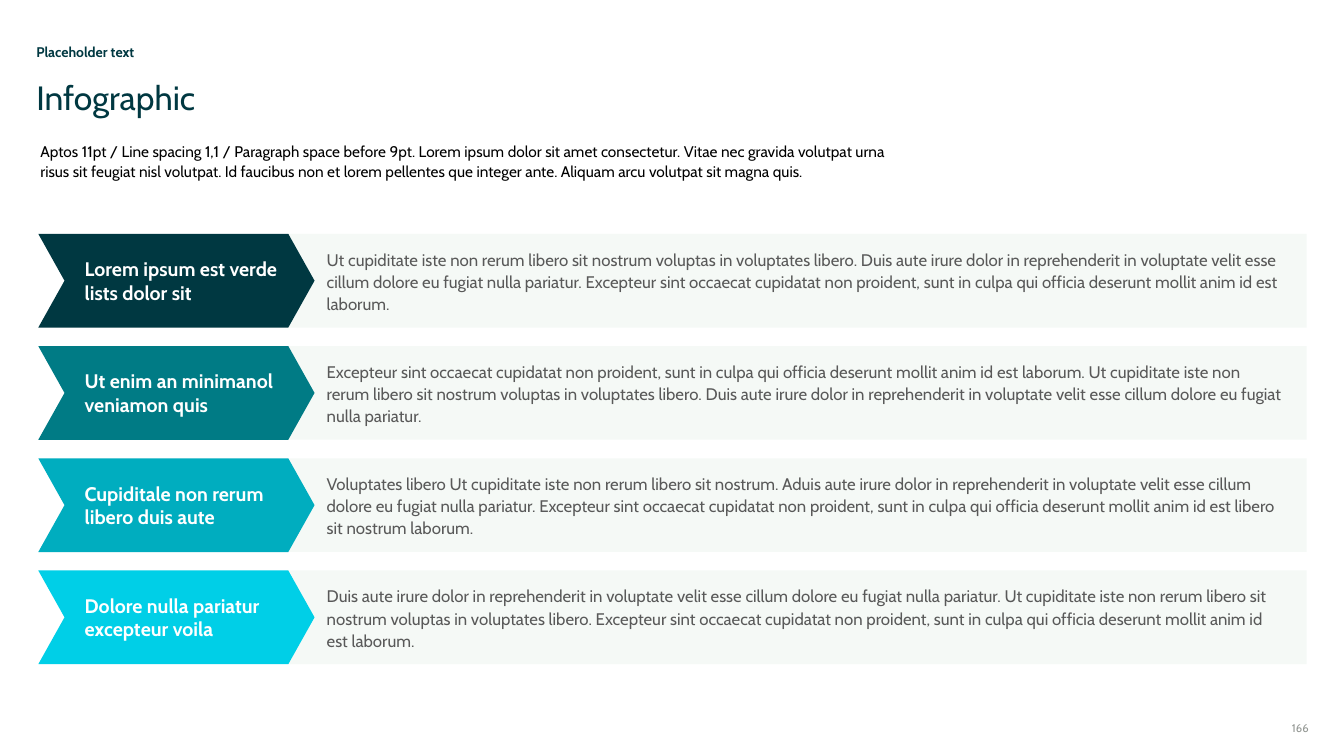
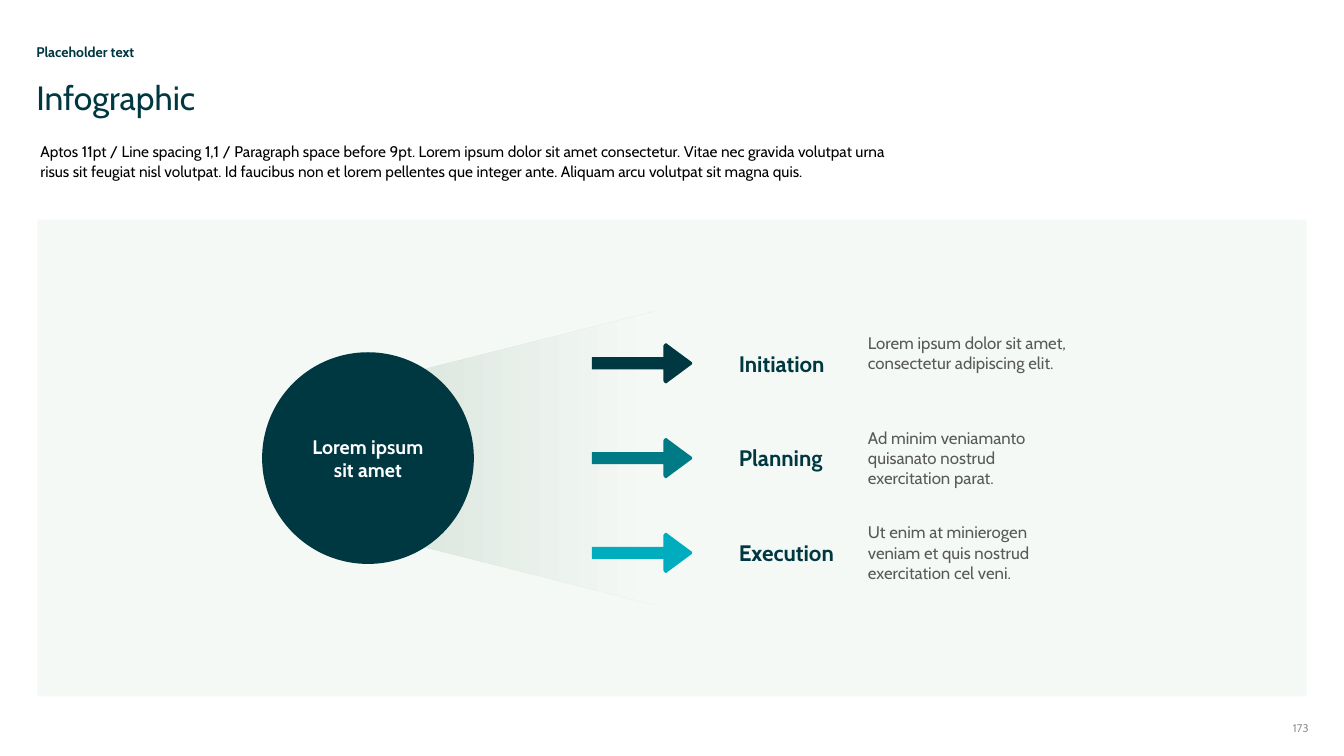
from collections import namedtuple

from pptx import Presentation
from pptx.dml.color import RGBColor
from pptx.enum import shapes, text
from pptx.util import Inches, Pt

FONT = "Cabin"
NAVY = RGBColor(0x00, 0x38, 0x41)
TEAL = RGBColor(0x00, 0x7B, 0x85)
CYAN = RGBColor(0x00, 0xAD, 0xBF)
BRIGHT = RGBColor(0x00, 0xCF, 0xE7)
PALE = RGBColor(0xF5, 0xF9, 0xF6)
SAGE = RGBColor(0xD8, 0xE4, 0xDC)
GREY = RGBColor(0x59, 0x59, 0x59)
FOOTER_GREY = RGBColor(0x93, 0x97, 0x93)
BLACK = RGBColor(0x00, 0x00, 0x00)
WHITE = RGBColor(0xFF, 0xFF, 0xFF)

Box = namedtuple("Box", "left top width height")

EYEBROW = dict(size=10, color=NAVY, bold=True, spacing=0.9)
TITLE = dict(size=24, color=NAVY, spacing=0.9)
INTRO = dict(size=11, color=BLACK, spacing=1.1)
PAGE_NUMBER = dict(size=8, color=FOOTER_GREY, align=text.PP_ALIGN.RIGHT)
ROW_BODY = dict(size=12, color=GREY, spacing=1.1)
ROW_HEADING = dict(size=14, color=WHITE, bold=True)
HUB = dict(size=14, color=WHITE, bold=True, align=text.PP_ALIGN.CENTER)
STEP_NAME = dict(size=16, color=NAVY, bold=True)
STEP_BODY = dict(size=12, color=GREY)

NO_INSETS = (0, 0, 0, 0)
TEXT_INSETS = (0.1, 0.05, 0.1, 0.05)

INTRO_TEXT = (
    "Aptos 11pt / Line spacing 1,1 / Paragraph space before 9pt. Lorem ipsum dolor sit amet "
    "consectetur. Vitae nec gravida volutpat urna risus sit feugiat nisl volutpat. Id faucibus "
    "non et lorem pellentes que integer ante. Aliquam arcu volutpat sit magna quis."
)
CHEVRON_ROWS = [
    (NAVY, "Lorem ipsum est verde lists dolor sit",
     "Ut cupiditate iste non rerum libero sit nostrum voluptas in voluptates libero. Duis aute "
     "irure dolor in reprehenderit in voluptate velit esse cillum dolore eu fugiat nulla "
     "pariatur. Excepteur sint occaecat cupidatat non proident, sunt in culpa qui officia "
     "deserunt mollit anim id est laborum."),
    (TEAL, "Ut enim an minimanol veniamon quis",
     "Excepteur sint occaecat cupidatat non proident, sunt in culpa qui officia deserunt mollit "
     "anim id est laborum. Ut cupiditate iste non rerum libero sit nostrum voluptas in "
     "voluptates libero. Duis aute irure dolor in reprehenderit in voluptate velit esse cillum "
     "dolore eu fugiat nulla pariatur."),
    (CYAN, "Cupiditale non rerum libero duis aute",
     "Voluptates libero Ut cupiditate iste non rerum libero sit nostrum. Aduis aute irure dolor "
     "in reprehenderit in voluptate velit esse cillum dolore eu fugiat nulla pariatur. Excepteur "
     "sint occaecat cupidatat non proident, sunt in culpa qui officia deserunt mollit anim id "
     "est libero sit nostrum laborum."),
    (BRIGHT, "Dolore nulla pariatur excepteur voila",
     "Duis aute irure dolor in reprehenderit in voluptate velit esse cillum dolore eu fugiat "
     "nulla pariatur. Ut cupiditate iste non rerum libero sit nostrum voluptas in voluptates "
     "libero. Excepteur sint occaecat cupidatat non proident, sunt in culpa qui officia deserunt "
     "mollit anim id est laborum."),
]
STEPS = [
    (NAVY, "Initiation", "Lorem ipsum dolor sit amet, consectetur adipiscing elit."),
    (TEAL, "Planning", "Ad minim veniamanto quisanato nostrud exercitation parat."),
    (CYAN, "Execution", "Ut enim at minierogen veniam et quis nostrud exercitation cel veni."),
]


def inches(box):
    return [Inches(length) for length in box]


def write(shape, content, style, insets=TEXT_INSETS, anchor=text.MSO_ANCHOR.TOP):
    frame = shape.text_frame
    left, top, right, bottom = inches(insets)
    frame_format = dict(word_wrap=True, vertical_anchor=anchor, margin_left=left,
                        margin_top=top, margin_right=right, margin_bottom=bottom)
    for name, value in frame_format.items():
        setattr(frame, name, value)
    paragraph = frame.paragraphs[0]
    paragraph.alignment = style.get("align", text.PP_ALIGN.LEFT)
    paragraph.line_spacing = style.get("spacing", 1.0)
    run = paragraph.add_run()
    run.text = content
    font_format = dict(name=FONT, size=Pt(style["size"]), bold=style.get("bold", False))
    for name, value in font_format.items():
        setattr(run.font, name, value)
    run.font.color.rgb = style["color"]


def add_text(slide, box, content, style, insets=TEXT_INSETS):
    write(slide.shapes.add_textbox(*inches(box)), content, style, insets)


def paint(shape, color):
    shape.shadow.inherit = False
    shape.line.fill.background()
    shape.fill.solid()
    shape.fill.fore_color.rgb = color


def add_filled(slide, kind, box, color):
    shape = slide.shapes.add_shape(kind, *inches(box))
    paint(shape, color)
    return shape


def add_page(presentation, number):
    """Add a slide with the shared heading, introduction and page number."""
    slide = presentation.slides.add_slide(presentation.slide_layouts[6])
    add_text(slide, Box(0.36, 0.45, 12.61, 0.15), "Placeholder text", EYEBROW, NO_INSETS)
    add_text(slide, Box(0.36, 0.81, 12.61, 0.37), "Infographic", TITLE, NO_INSETS)
    add_text(slide, Box(0.36, 1.39, 8.68, 0.4), INTRO_TEXT, INTRO, (0.04, 0, 0, 0))
    add_text(slide, Box(12.23, 7.16, 0.75, 0.15), str(number), PAGE_NUMBER, NO_INSETS)
    return slide


def add_chevron_row(slide, box, color, heading, body):
    chevron_width, overlap = 2.74, 0.27
    band_offset = chevron_width - overlap
    band = add_filled(slide, shapes.MSO_SHAPE.RECTANGLE,
                      Box(box.left + band_offset, box.top, box.width - band_offset, box.height),
                      PALE)
    write(band, body, ROW_BODY, (0.39, 0.08, 0.2, 0.08), text.MSO_ANCHOR.MIDDLE)
    chevron = add_filled(slide, shapes.MSO_SHAPE.CHEVRON, box._replace(width=chevron_width), color)
    chevron.adjustments[0] = 0.28
    write(chevron, heading, ROW_HEADING, (0.2, 0.04, 0.04, 0.04), text.MSO_ANCHOR.MIDDLE)


def add_chevron_list(slide, box):
    row_height = 0.93
    pitch = (box.height - row_height) / (len(CHEVRON_ROWS) - 1)
    for index, row in enumerate(CHEVRON_ROWS):
        add_chevron_row(slide, Box(box.left, box.top + index * pitch, box.width, row_height), *row)


def curve(start, control_1, control_2, end, steps=8):
    """Return points along a cubic Bezier curve."""
    points = []
    for step in range(steps + 1):
        t = step / steps
        weights = ((1 - t) ** 3, 3 * t * (1 - t) ** 2, 3 * t ** 2 * (1 - t), t ** 3)
        points.append(tuple(
            sum(weight * value for weight, value in zip(weights, values))
            for values in zip(start, control_1, control_2, end)))
    return points


def add_rounded_arrow(slide, left, middle, color):
    """Draw a right arrow with soft corners, symmetric about the height middle."""
    lower = [(0, 0.06), (0.71, 0.06)]
    lower += curve((0.71, 0.17), (0.71, 0.19), (0.74, 0.21), (0.75, 0.19))
    tip = curve((0.98, 0.02), (1, 0.01), (1, -0.01), (0.98, -0.02))
    upper = [(x, -y) for x, y in reversed(lower)]
    points = [(Inches(left + x), Inches(middle + y)) for x, y in lower + tip + upper]
    builder = slide.shapes.build_freeform(*points[0])
    builder.add_line_segments(points[1:], close=True)
    paint(builder.convert_to_shape(), color)


def add_beam(slide, box):
    """Add a fading trapezoid that widens to the right."""
    beam = add_filled(slide, shapes.MSO_SHAPE.TRAPEZOID, box, PALE)
    beam.rotation = 270
    beam.fill.gradient()
    beam.fill.gradient_angle = 270
    for stop, color in zip(beam.fill.gradient_stops, (SAGE, PALE)):
        stop.color.rgb = color


def add_step(slide, left, middle, color, name, body):
    add_rounded_arrow(slide, left, middle, color)
    for offset, width, height, content, style in (
        (1.36, 1.43, 0.37, name, STEP_NAME),
        (2.64, 2.22, 0.71, body, STEP_BODY),
    ):
        add_text(slide, Box(left + offset, middle - height / 2, width, height), content, style)


def add_hub_diagram(slide, box):
    add_filled(slide, shapes.MSO_SHAPE.RECTANGLE, box, PALE)
    middle = box.top + box.height / 2
    beam_height, hub_size, pitch = 2.84, 2.1, 0.94
    add_beam(slide, Box(box.left + 3.25, middle - beam_height / 2, 2.91, beam_height))
    hub = add_filled(slide, shapes.MSO_SHAPE.OVAL,
                     Box(box.left + 2.23, middle - hub_size / 2, hub_size, hub_size), NAVY)
    write(hub, "Lorem ipsum sit amet", HUB, anchor=text.MSO_ANCHOR.MIDDLE)
    for index, step in enumerate(STEPS):
        offset = (index - (len(STEPS) - 1) / 2) * pitch
        add_step(slide, box.left + 5.5, middle + offset, *step)


def main():
    presentation = Presentation()
    presentation.slide_width = Inches(13.33)
    presentation.slide_height = Inches(7.5)
    add_chevron_list(add_page(presentation, 166), Box(0.38, 2.32, 12.58, 4.27))
    add_hub_diagram(add_page(presentation, 173), Box(0.37, 2.18, 12.59, 4.73))
    presentation.save("out.pptx")


if __name__ == "__main__":
    main()
